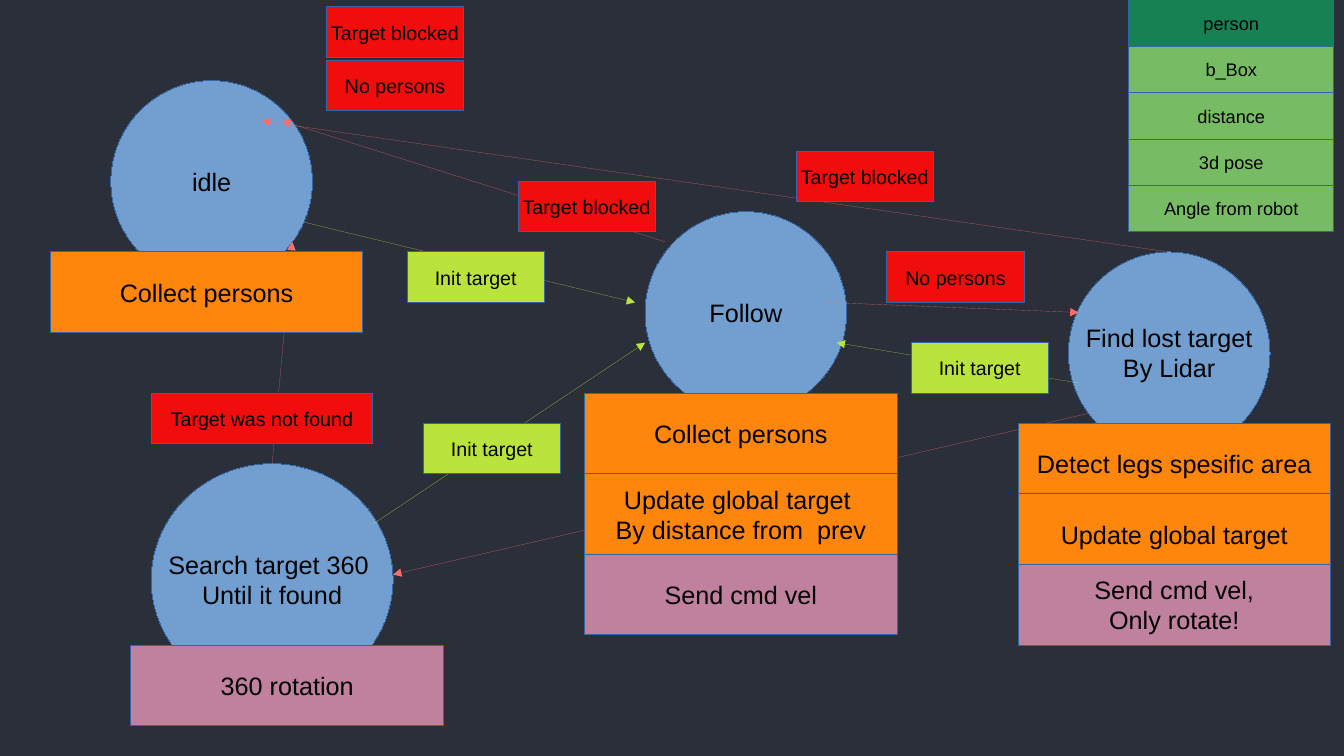
from pptx import Presentation
from pptx.dml.color import RGBColor
from pptx.enum import shapes, text
from pptx.oxml import parse_xml
from pptx.oxml.ns import nsdecls, qn
from pptx.util import Pt

BACKGROUND = RGBColor(0x2B, 0x2F, 0x39)
BLACK = RGBColor(0, 0, 0)
OUTLINE = RGBColor(0x34, 0x65, 0xA4)
BLUE = RGBColor(0x72, 0x9F, 0xCF)
ORANGE = RGBColor(0xFF, 0x86, 0x0D)
PINK = RGBColor(0xBF, 0x81, 0x9E)
RED = RGBColor(0xF1, 0x0D, 0x0C)
LIGHT_RED = RGBColor(0xFF, 0x6D, 0x6D)
LIME = RGBColor(0xBB, 0xE3, 0x3D)
GREEN = RGBColor(0x77, 0xBC, 0x65)
DARK_GREEN = RGBColor(0x16, 0x82, 0x53)

RECT = shapes.MSO_SHAPE.RECTANGLE
OVAL = shapes.MSO_SHAPE.OVAL

prs = Presentation()
prs.slide_width, prs.slide_height = Pt(960), Pt(540)
s = prs.slides.add_slide(prs.slide_layouts[6])
s.background.fill.solid()
s.background.fill.fore_color.rgb = BACKGROUND


def add_box(kind, left, top, width, height, fill, label, size):
    sp = s.shapes.add_shape(kind, Pt(left), Pt(top), Pt(width), Pt(height))
    sp._element.remove(sp._element.find(qn("p:style")))
    sp.shadow.inherit = False
    sp.fill.solid()
    sp.fill.fore_color.rgb = fill
    sp.line.color.rgb = OUTLINE
    tf = sp.text_frame
    tf.word_wrap = False
    tf.vertical_anchor = text.MSO_ANCHOR.MIDDLE
    tf.text = label
    for p in tf.paragraphs:
        p.alignment = text.PP_ALIGN.CENTER
        for r in p.runs:
            r.font.name = "Arial"
            r.font.size = Pt(size)
            r.font.color.rgb = BLACK


def add_arrow(x1, y1, x2, y2, color):
    c = s.shapes.add_connector(shapes.MSO_CONNECTOR.STRAIGHT, Pt(x1), Pt(y1), Pt(x2), Pt(y2))
    c._element.remove(c._element.find(qn("p:style")))
    c.line.color.rgb = color
    c.line._get_or_add_ln().append(parse_xml(f'<a:tailEnd {nsdecls("a")} type="triangle"/>'))
    c._element.spPr.append(parse_xml(f'<a:effectLst {nsdecls("a")}/>'))


states = [
    (79.2, 57.6, 144, 144, "idle"),
    (460.8, 151.2, 144, 144, "Follow"),
    (763.2, 180, 144, 144, "Find lost target\nBy Lidar"),
    (108, 331.2, 172.8, 165.6, "Search target 360 \nUntil it found"),
]
for left, top, width, height, label in states:
    add_box(OVAL, left, top, width, height, BLUE, label, 18)

transitions = [
    (216, 158.4, 453.6, 216, LIME),
    (475.2, 172.8, 201.6, 86.4, LIGHT_RED),
    (590.4, 216, 770.4, 223.2, LIGHT_RED),
    (770.4, 273.6, 597.6, 244.8, LIME),
    (777.6, 295.2, 280.8, 410.4, LIGHT_RED),
    (266.4, 374.4, 460.8, 244.8, LIME),
    (835.2, 180, 187.2, 86.4, LIGHT_RED),
    (194.4, 331.2, 208.8, 172.8, LIGHT_RED),
]
for transition in transitions:
    add_arrow(*transition)

action_stacks = [
    (36, 180, 57.6, [("Collect persons", ORANGE)]),
    (417.6, 280.8, 57.6, [
        ("Collect persons", ORANGE),
        ("Update global target \nBy distance from  prev", ORANGE),
        ("Send cmd vel", PINK),
    ]),
    (727.2, 302.4, 50.4, [
        ("Detect legs spesific area", ORANGE),
        ("Update global target", ORANGE),
        ("Send cmd vel,\nOnly rotate!", PINK),
    ]),
    (93.6, 460.8, 57.6, [("360 rotation", PINK)]),
]
for left, top, step, actions in action_stacks:
    for i, (label, fill) in enumerate(actions):
        add_box(RECT, left, top + i * step, 223.2, 57.6, fill, label, 18)

person_fields = ["person", "b_Box", "distance", "3d pose", "Angle from robot"]
for i, label in enumerate(person_fields):
    fill = GREEN if i else DARK_GREEN
    add_box(RECT, 806.4, i * 33.12, 146.16, 33.12, fill, label, 13)

conditions = [
    (233.3, 5, 97.9, "Target blocked", RED),
    (233.3, 43.2, 97.9, "No persons", RED),
    (370.1, 129.6, 97.9, "Target blocked", RED),
    (568.8, 108, 97.9, "Target blocked", RED),
    (633.6, 180, 97.9, "No persons", RED),
    (108, 280.8, 158.4, "Target was not found", RED),
    (290.9, 180, 97.9, "Init target", LIME),
    (302.4, 302.4, 97.9, "Init target", LIME),
    (650.9, 244.8, 97.9, "Init target", LIME),
]
for left, top, width, label, fill in conditions:
    add_box(RECT, left, top, width, 36, fill, label, 14)

prs.save("out.pptx")
